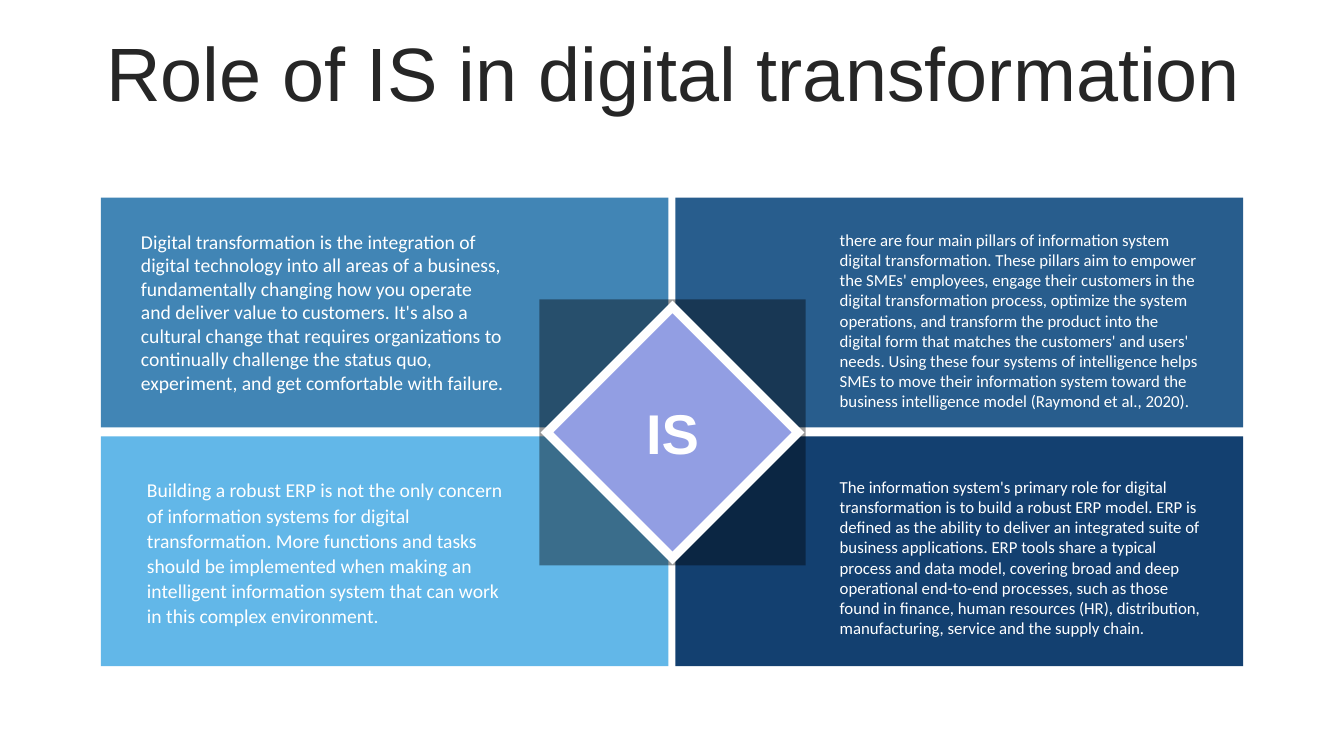
"""Build a slide on the role of information systems in digital transformation."""
from lxml.etree import SubElement
from pptx import Presentation
from pptx.dml.color import RGBColor
from pptx.enum.shapes import MSO_SHAPE
from pptx.enum.text import MSO_ANCHOR, PP_ALIGN
from pptx.oxml.ns import qn
from pptx.util import Inches, Pt

WHITE = RGBColor(0xFF, 0xFF, 0xFF)
BLACK = RGBColor(0x00, 0x00, 0x00)
INK = RGBColor(0x26, 0x26, 0x26)
LAVENDER = RGBColor(0x92, 0x9E, 0xE3)
STEEL = RGBColor(0x41, 0x85, 0xB5)
SKY = RGBColor(0x62, 0xB7, 0xE8)
DENIM = RGBColor(0x28, 0x5D, 0x8D)
NAVY = RGBColor(0x13, 0x40, 0x70)

TITLE = "Role of IS in digital transformation"
HUB = "IS"
PANELS = [
    # column, row, fill, text left, text width, size, line spacing, space after, text
    (0, 0, STEEL, 1.3, 3.8, 14, 1.0, 0,
     "Digital transformation is the integration of digital technology into all areas of a "
     "business, fundamentally changing how you operate and deliver value to customers. It's "
     "also a cultural change that requires organizations to continually challenge the status "
     "quo, experiment, and get comfortable with failure."),
    (0, 1, SKY, 1.36, 3.74, 14, 1.07, 8,
     "Building a robust ERP is not the only concern of information systems for digital "
     "transformation. More functions and tasks should be implemented when making an "
     "intelligent information system that can work in this complex environment."),
    (1, 0, DENIM, 8.23, 3.8, 12, 1.0, 0,
     "there are four main pillars of information system digital transformation. These pillars "
     "aim to empower the SMEs' employees, engage their customers in the digital transformation "
     "process, optimize the system operations, and transform the product into the digital form "
     "that matches the customers' and users' needs. Using these four systems of intelligence "
     "helps SMEs to move their information system toward the business intelligence model "
     "(Raymond et al., 2020)."),
    (1, 1, NAVY, 8.23, 3.8, 12, 1.0, 0,
     "The information system's primary role for digital transformation is to build a robust "
     "ERP model. ERP is defined as the ability to deliver an integrated suite of business "
     "applications. ERP tools share a typical process and data model, covering broad and deep "
     "operational end-to-end processes, such as those found in finance, human resources (HR), "
     "distribution, manufacturing, service and the supply chain."),
]

LEFT, TOP = 1, 1.96
PANEL_W, PANEL_H = 5.63, 2.28
STEP_X, STEP_Y = 5.7, 2.37
TEXT_TOPS, TEXT_HEIGHTS = (2.23, 4.68), (1.8, 1.7)
CENTER_X, CENTER_Y = 6.67, 4.29


def add_block(slide, kind, left, top, width, height, color):
    s = slide.shapes.add_shape(kind, Inches(left), Inches(top), Inches(width), Inches(height))
    s.shadow.inherit = False
    s.fill.solid()
    s.fill.fore_color.rgb = color
    s.line.fill.background()
    return s


def add_centered(slide, kind, size, color):
    return add_block(slide, kind, CENTER_X - size / 2, CENTER_Y - size / 2, size, size, color)


def add_text(slide, left, top, width, height, text, font, size, color):
    s = slide.shapes.add_textbox(Inches(left), Inches(top), Inches(width), Inches(height))
    tf = s.text_frame
    tf.word_wrap = True
    p = tf.paragraphs[0]
    p.text = text
    p.font.name = font
    p.font.size = Pt(size)
    p.font.color.rgb = color
    return tf, p


def main():
    prs = Presentation()
    prs.slide_width, prs.slide_height = Inches(13.33), Inches(7.5)
    slide = prs.slides.add_slide(prs.slide_layouts[6])

    tf, p = add_text(slide, 0.35, 0.37, 12.66, 0.79, TITLE, "Arial", 54, INK)
    tf.vertical_anchor = MSO_ANCHOR.MIDDLE
    p.alignment = PP_ALIGN.CENTER
    p.line_spacing = 0.9
    p.space_before = Pt(10)

    for col, row, color, *_ in PANELS:
        add_block(slide, MSO_SHAPE.RECTANGLE, LEFT + col * STEP_X, TOP + row * STEP_Y,
                  PANEL_W, PANEL_H, color)

    shade = add_centered(slide, MSO_SHAPE.RECTANGLE, 2.64, BLACK)
    rgb = shade.fill._xPr.find(qn("a:solidFill")).find(qn("a:srgbClr"))
    SubElement(rgb, qn("a:alpha")).set("val", "40000")
    add_centered(slide, MSO_SHAPE.RECTANGLE, 1.85, WHITE).rotation = 315
    add_centered(slide, MSO_SHAPE.DIAMOND, 2.36, LAVENDER)

    tf, p = add_text(slide, 5.64, 3.9, 2.06, 0.77, HUB, "Arial", 40, WHITE)
    p.alignment = PP_ALIGN.CENTER
    p.font.bold = True

    for col, row, color, left, width, size, spacing, after, text in PANELS:
        tf, p = add_text(slide, left, TEXT_TOPS[row], width, TEXT_HEIGHTS[row],
                         text, "Calibri", size, WHITE)
        p.line_spacing = spacing
        p.space_after = Pt(after)

    prs.save("out.pptx")


if __name__ == "__main__":
    main()
